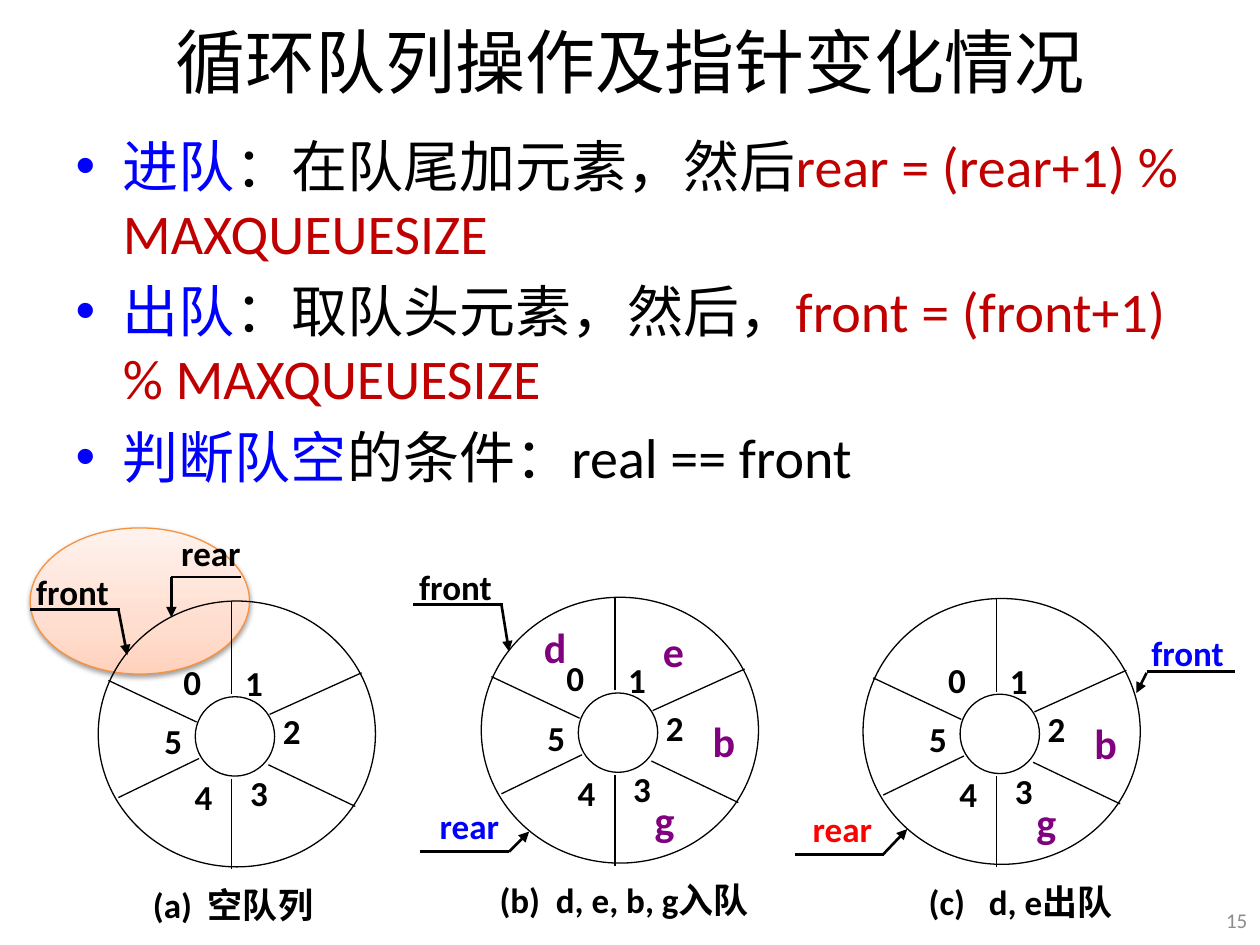
import lxml.etree
import pptx
import pptx.dml.color
import pptx.enum.shapes
import pptx.enum.text
import pptx.oxml
import pptx.oxml.ns
import pptx.util

PX = 9144
theme = {
    "font": "Calibri",
    "black": "000000", "blue": "0000FF", "red": "FF0000", "crimson": "C00000",
    "purple": "800080", "gray": "8C8C8C", "orange": "F69240",
    "glow": [(0, "FFD2BD"), (35000, "FFDED0"), (100000, "FFF2ED")],
    "title": 40, "body": 32, "letter": 24, "label": 20, "number": 12,
    "thin": 0.75, "thick": 1.5,
}
rgb = pptx.dml.color.RGBColor.from_string
shape_kind = pptx.enum.shapes.MSO_SHAPE
align = pptx.enum.text.PP_ALIGN
middle = pptx.enum.text.MSO_ANCHOR.MIDDLE
qn = pptx.oxml.ns.qn

deck = pptx.Presentation()
deck.slide_width, deck.slide_height = 1000 * PX, 750 * PX
page = deck.slides.add_slide(deck.slide_layouts[1])


def add_label(text, left, top, width, height, color="black", size="label"):
    box = page.shapes.add_textbox(left * PX, top * PX, width * PX, height * PX)
    frame = box.text_frame
    frame.text = text
    frame.word_wrap = False
    frame.vertical_anchor = middle
    frame.margin_top = frame.margin_bottom = 0
    frame.margin_left = frame.margin_right = 0
    para = frame.paragraphs[0]
    para.alignment = align.CENTER
    font = para.runs[0].font
    font.name, font.size, font.bold = theme["font"], pptx.util.Pt(theme[size]), True
    font.color.rgb = rgb(theme[color])
    return para


def add_line(x1, y1, x2, y2, weight="thin", arrow=False):
    line = page.shapes.add_connector(
        pptx.enum.shapes.MSO_CONNECTOR.STRAIGHT, x1 * PX, y1 * PX, x2 * PX, y2 * PX)
    line.line.color.rgb = rgb(theme["black"])
    line.line.width = pptx.util.Pt(theme[weight])
    properties = line._element.spPr
    if arrow:
        lxml.etree.SubElement(properties.find(qn("a:ln")), qn("a:tailEnd"), type="triangle")
    lxml.etree.SubElement(properties, qn("a:effectLst"))


title = page.shapes.title
title.left, title.top, title.width, title.height = 50 * PX, -3 * PX, 900 * PX, 102 * PX
title.text_frame.text = "循环队列操作及指针变化情况"
title.text_frame.vertical_anchor = middle
title_font = title.text_frame.paragraphs[0].runs[0].font
title_font.name, title_font.size = theme["font"], pptx.util.Pt(theme["title"])
title_font.color.rgb = rgb(theme["black"])

rules = [
    [("进队", "blue"), ("：在队尾加元素，然后", "black"),
     ("rear = (rear+1) % MAXQUEUESIZE", "crimson")],
    [("出队", "blue"), ("：取队头元素，然后，", "black"),
     ("front = (front+1) % MAXQUEUESIZE", "crimson")],
    [("判断队空", "blue"), ("的条件：real == front", "black")],
]
body = page.placeholders[1]
body.left, body.top, body.width, body.height = 50 * PX, 99 * PX, 900 * PX, 638 * PX
body.text_frame.auto_size = pptx.enum.text.MSO_AUTO_SIZE.NONE
for index, rule in enumerate(rules):
    para = body.text_frame.add_paragraph() if index else body.text_frame.paragraphs[0]
    for text, color in rule:
        span = para.add_run()
        span.text = text
        span.font.name, span.font.size = theme["font"], pptx.util.Pt(theme["body"])
        span.font.color.rgb = rgb(theme[color])

number = add_label("15", 957, 710, 33, 40, "gray", "number")
number.alignment = align.RIGHT
number.runs[0].font.bold = False

highlight = page.shapes.add_shape(
    shape_kind.FLOWCHART_CONNECTOR, 24 * PX, 419 * PX, 174 * PX, 116 * PX)
highlight.line.color.rgb = rgb(theme["orange"])
highlight.line.width = pptx.util.Pt(theme["thin"])
highlight.fill.gradient()
highlight.fill.gradient_angle = 90
stops = highlight._element.spPr.find(qn("a:gradFill")).find(qn("a:gsLst"))
for stop in list(stops):
    stops.remove(stop)
for position, color in theme["glow"]:
    stop = lxml.etree.SubElement(stops, qn("a:gs"), pos=str(position))
    lxml.etree.SubElement(stop, qn("a:srgbClr"), val=color)
effects = lxml.etree.SubElement(highlight._element.spPr, qn("a:effectLst"))
shadow = lxml.etree.SubElement(
    effects, qn("a:outerShdw"), blurRad="39370", dist="20320", dir="5400000", rotWithShape="0")
shade = lxml.etree.SubElement(shadow, qn("a:srgbClr"), val=theme["black"])
lxml.etree.SubElement(shade, qn("a:alpha"), val="38000")

spokes = [(106, 0, 106, 74), (106, 141, 106, 213), (136, 90, 209, 57),
          (16, 156, 80, 125), (135, 130, 204, 163), (8, 63, 78, 96)]
slots = [(55, 48), (104, 49), (134, 87), (108, 136), (64, 139), (40, 95)]
for left, top in [(78, 477), (382, 474), (685, 475)]:
    for x, y, width, height in [(77, 76, 63, 63), (0, 0, 220, 211)]:
        ring = page.shapes.add_shape(
            shape_kind.OVAL, (left + x) * PX, (top + y) * PX, width * PX, height * PX)
        ring.shadow.inherit = False
        ring.fill.background()
        ring.line.color.rgb = rgb(theme["black"])
        ring.line.width = pptx.util.Pt(theme["thin"])
    for x1, y1, x2, y2 in spokes:
        add_line(left + x1, top + y1, left + x2, top + y2)
    for slot, (x, y) in enumerate(slots):
        add_label(str(slot), left + x, top + y, 39, 32)

for text, left, top, width in [("(a)  空队列", 110, 698, 150),
                               ("(b)  d, e, b, g入队", 385, 694, 221),
                               ("(c)   d, e出队", 724, 696, 172)]:
    add_label(text, left, top, width, 39)

for text, left, top in [("d", 421, 494), ("e", 515, 497), ("b", 555, 568),
                        ("g", 508, 631), ("b", 858, 570), ("g", 811, 633)]:
    add_label(text, left, top, 39, 39, "purple", "letter")

pointers = [
    ("front", "black", (22, 450, 71), (24, 95, 484), (94, 484, 101, 520)),
    ("rear", "black", (136, 419, 63), (136, 191, 458), (136, 458, 136, 490)),
    ("front", "black", (326, 446, 71), (328, 399, 480), (398, 480, 404, 517)),
    ("rear", "blue", (345, 636, 55), (333, 404, 676), (404, 676, 420, 660)),
    ("front", "blue", (907, 498, 71), (910, 980, 533), (910, 534, 902, 550)),
    ("rear", "red", (641, 638, 55), (631, 702, 678), (701, 678, 720, 658)),
]
for text, color, (left, top, width), (start, end, level), arrow in pointers:
    add_label(text, left, top, width, 39, color)
    add_line(start, level, end, level, "thick")
    add_line(*arrow, "thick", True)

deck.save("out.pptx")
